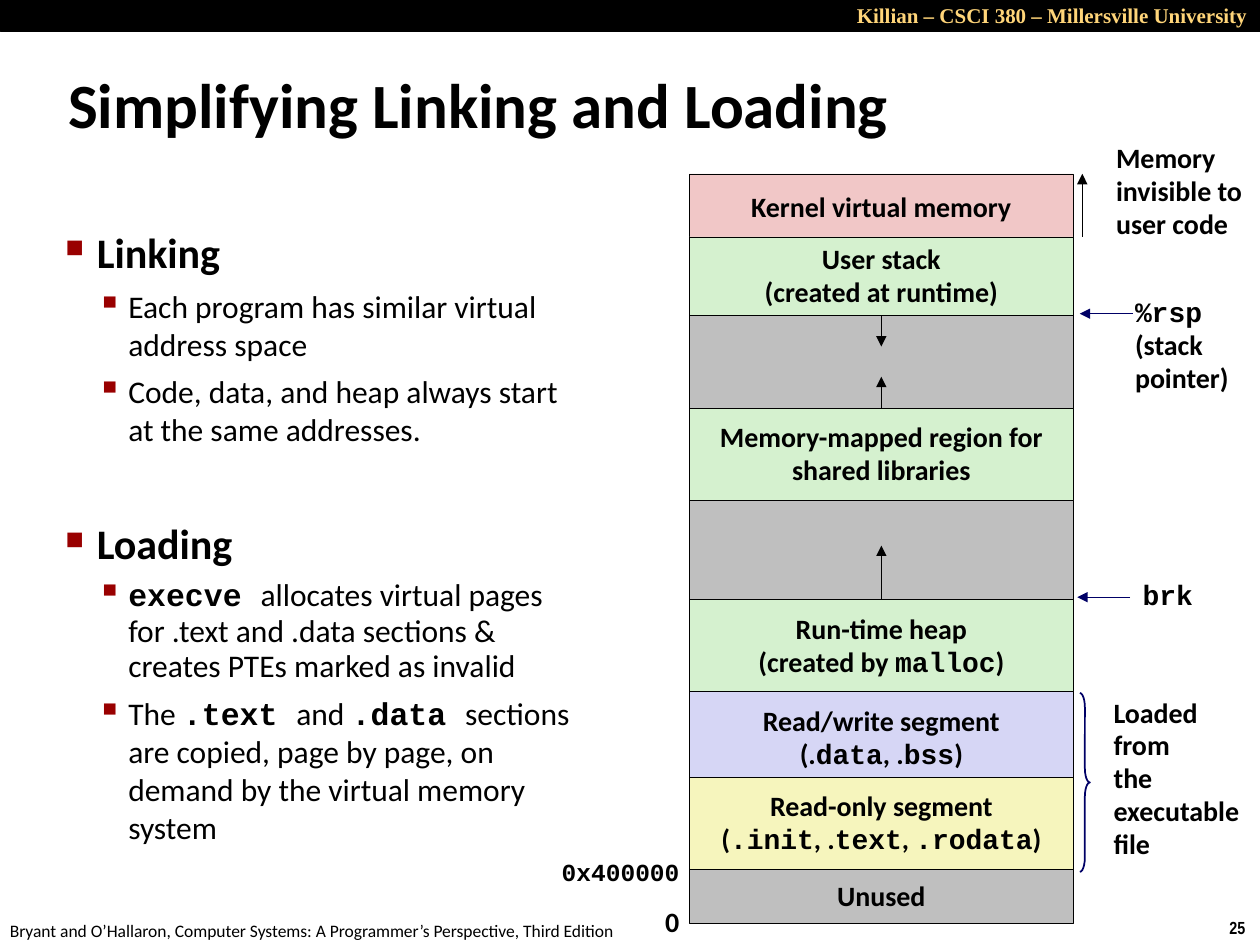
import pptx
import pptx.dml.color
import pptx.enum.shapes
import pptx.enum.text
import pptx.oxml.ns
import pptx.oxml.xmlchemy
import pptx.util

BLACK = pptx.dml.color.RGBColor(0x00, 0x00, 0x00)
GOLD = pptx.dml.color.RGBColor(0xFF, 0xD5, 0x79)
NAVY = pptx.dml.color.RGBColor(0x00, 0x00, 0x66)
PINK = pptx.dml.color.RGBColor(0xF1, 0xC7, 0xC7)
GREEN = pptx.dml.color.RGBColor(0xD5, 0xF1, 0xCF)
GRAY = pptx.dml.color.RGBColor(0xBF, 0xBF, 0xBF)
LILAC = pptx.dml.color.RGBColor(0xD6, 0xD6, 0xF5)
YELLOW = pptx.dml.color.RGBColor(0xF6, 0xF5, 0xBD)
BULLET_RED = pptx.dml.color.RGBColor(0x99, 0x00, 0x00)

LEFT = pptx.enum.text.PP_ALIGN.LEFT
CENTERED = pptx.enum.text.PP_ALIGN.CENTER
RIGHT = pptx.enum.text.PP_ALIGN.RIGHT
MIDDLE = pptx.enum.text.MSO_ANCHOR.MIDDLE

# Text between backticks is code.
TITLE = "Simplifying Linking and Loading"
# heading, space before, points
TOPICS = [
    ("Linking", 12.5, [
        "Each program has similar virtual address space",
        "Code, data, and heap always start at the same addresses.",
    ]),
    ("Loading", 40, [
        "`execve `allocates virtual pages for .text and .data sections & "
        "creates PTEs marked as invalid",
        "The `.text `and `.data `sections are copied, page by page, on demand "
        "by the virtual memory system",
    ]),
]

# name: top, height, fill, lines; later regions lie over earlier ones
REGION_LEFT, REGION_WIDTH = 5.47, 3.05
REGIONS = {
    "kernel": (1.38, 0.53, PINK, ["Kernel virtual memory"]),
    "stack gap": (2.25, 0.99, GRAY, []),
    "stack": (1.88, 0.62, GREEN, ["User stack", "(created at runtime)"]),
    "mapped": (3.24, 0.73, GREEN, ["Memory-mapped region for", "shared libraries"]),
    "heap gap": (3.97, 0.79, GRAY, []),
    "heap": (4.76, 0.73, GREEN, ["Run-time heap", "(created by `malloc`)"]),
    "read/write": (5.49, 0.73, LILAC, ["Read/write segment", "(.`data`, .`bss`)"]),
    "read-only": (6.17, 0.73, YELLOW,
                  ["Read-only segment", "(`.init`, .`text`, `.rodata`)"]),
    "unused": (6.9, 0.43, GRAY, ["Unused"]),
}

# name: left, top, width, height, size, lines
LABELS = {
    "zero": (5.18, 7.14, 0.31, 0.37, 16, ["0"]),
    "code start": (4.36, 6.77, 1.14, 0.33, 14, ["`0x400000`"]),
    "rsp": (8.91, 2.31, 0.95, 0.88, 16, ["`%rsp`", "(stack", "pointer)"]),
    "kernel note": (8.76, 1.08, 1.26, 0.89, 16,
                    ["Memory", "invisible to", "user code"]),
    "brk": (8.97, 4.56, 0.6, 0.36, 16, ["`brk`"]),
    "file note": (8.74, 5.48, 1.26, 1.42, 16,
                  ["Loaded", "from", "the", "executable", "file"]),
}

MIDLINE = REGION_LEFT + REGION_WIDTH / 2
# start, end, colour, shape joined at the start, its side
ARROWS = [
    ((MIDLINE, 2.5), (MIDLINE, 2.75), BLACK, "stack", 2),
    ((MIDLINE, 3.24), (MIDLINE, 2.99), BLACK, "mapped", 0),
    ((MIDLINE, 4.76), (MIDLINE, 4.33), BLACK, "heap", 0),
    ((8.59, 1.88), (8.59, 1.38), BLACK, None, None),
    ((8.99, 2.49), (8.57, 2.49), NAVY, None, None),
    ((8.97, 4.74), (8.55, 4.74), NAVY, "brk", 1),
]

# left, top, width, height, text, font, size, colour, bold, alignment
FURNITURE = [
    (9.66, 7.23, 0.34, 0.27, "25", "Arial Narrow", 10, BLACK, True, LEFT),
    (-0.02, 7.25, 5.08, 0.27,
     "Bryant and O’Hallaron, Computer Systems: A Programmer’s Perspective, "
     "Third Edition", "Calibri", 10, BLACK, False, LEFT),
    (6.69, -0.03, 3.31, 0.3, "Killian – CSCI 380 – Millersville University",
     "Times New Roman", 12, GOLD, True, RIGHT),
]


def inches(*values):
    return [pptx.util.Inches(value) for value in values]


def add_span(para, text, font, size, color=BLACK, bold=True):
    span = para.add_run()
    span.text = text
    span.font.name = font
    span.font.size = pptx.util.Pt(size)
    span.font.color.rgb = color
    span.font.bold = bold


def add_spans(para, text, size, bold=True):
    """Write text in Calibri, with its backticked parts in bold Courier New."""
    for index, part in enumerate(text.split("`")):
        code = index % 2 == 1
        if part:
            add_span(para, part, "Courier New" if code else "Calibri", size,
                     bold=bold or code)


def next_para(frame):
    first = frame.paragraphs[0]
    return frame.add_paragraph() if first.runs else first


def add_lines(frame, lines, size, align):
    for line in lines:
        para = next_para(frame)
        para.alignment = align
        para.line_spacing = 0.94 if line.startswith("`") else 0.98
        add_spans(para, line, size)


def add_element(parent, tag, **attributes):
    element = pptx.oxml.xmlchemy.OxmlElement(tag)
    for key, value in attributes.items():
        element.set(key, str(value))
    parent.append(element)
    return element


def add_bullet(para, char, percent, left):
    properties = para._p.get_or_add_pPr()
    properties.set("marL", str(pptx.util.Inches(left)))
    properties.set("indent", str(pptx.util.Inches(-0.25)))
    color = add_element(properties, "a:buClr")
    add_element(color, "a:srgbClr", val=BULLET_RED)
    add_element(properties, "a:buSzPct", val=percent * 1000)
    add_element(properties, "a:buChar", char=char)


def add_box(page, *place, wrap=False):
    box = page.shapes.add_textbox(*inches(*place))
    box.text_frame.word_wrap = wrap
    return box


def add_figure(page, kind, place, fill, line, weight):
    figure = page.shapes.add_shape(kind, *inches(*place))
    figure.shadow.inherit = False
    if fill is None:
        figure.fill.background()
    else:
        figure.fill.solid()
        figure.fill.fore_color.rgb = fill
    figure.line.color.rgb = line
    figure.line.width = pptx.util.Pt(weight)
    return figure


def add_arrow(page, start, end, color, joined, side):
    arrow = page.shapes.add_connector(
        pptx.enum.shapes.MSO_CONNECTOR.STRAIGHT, *inches(*start, *end))
    if joined is not None:
        arrow.begin_connect(joined, side)
    arrow.line.color.rgb = color
    arrow.line.width = pptx.util.Pt(0.25)
    properties = arrow._element.spPr
    add_element(properties.find(pptx.oxml.ns.qn("a:ln")), "a:tailEnd", type="triangle")
    add_element(properties, "a:effectLst")


def main():
    rectangle = pptx.enum.shapes.MSO_SHAPE.RECTANGLE
    deck = pptx.Presentation()
    deck.slide_width, deck.slide_height = inches(10, 7.5)
    page = deck.slides.add_slide(deck.slide_layouts[5])

    add_figure(page, rectangle, (0, 0, 10, 0.25), BLACK, BLACK, 0.25)
    for *place, text, font, size, color, bold, align in FURNITURE:
        para = add_box(page, *place).text_frame.paragraphs[0]
        para.alignment = align
        add_span(para, text, font, size, color, bold)

    title = page.shapes.title
    title.left, title.top, title.width, title.height = inches(0.44, 0.39, 9.06, 0.86)
    title.text_frame.vertical_anchor = MIDDLE
    title.text_frame.auto_size = pptx.enum.text.MSO_AUTO_SIZE.NONE
    title.text_frame.paragraphs[0].alignment = LEFT
    add_spans(title.text_frame.paragraphs[0], TITLE, 36)

    body = add_box(page, 0.42, 1.75, 4.33, 5.23, wrap=True).text_frame
    for heading, gap, points in TOPICS:
        para = next_para(body)
        para.space_before = pptx.util.Pt(gap)
        add_bullet(para, "■", 60, 0.25)
        add_spans(para, heading, 24)
        for point in points:
            para = next_para(body)
            para.level = 1
            para.space_before = pptx.util.Pt(5.6)
            para.line_spacing = 0.94 if point.startswith("`") else 1.0
            add_bullet(para, "▪", 110, 0.5)
            add_spans(para, point, 18, bold=False)

    named = {}
    for name, (top, height, fill, lines) in REGIONS.items():
        place = (REGION_LEFT, top, REGION_WIDTH, height)
        named[name] = add_figure(page, rectangle, place, fill, BLACK, 0.25)
        frame = named[name].text_frame
        frame.word_wrap = False
        frame.vertical_anchor = MIDDLE
        add_lines(frame, lines, 16, CENTERED)
    for name, (*place, size, lines) in LABELS.items():
        named[name] = add_box(page, *place)
        add_lines(named[name].text_frame, lines, size, LEFT)
    for start, end, color, joined, side in ARROWS:
        add_arrow(page, start, end, color, named.get(joined), side)

    brace = add_figure(page, pptx.enum.shapes.MSO_SHAPE.RIGHT_BRACE,
                       (8.57, 5.5, 0.08, 1.42), None, NAVY, 1)
    brace.adjustments[0] = 1.42
    brace.adjustments[1] = 0.5

    deck.save("out.pptx")


if __name__ == "__main__":
    main()
